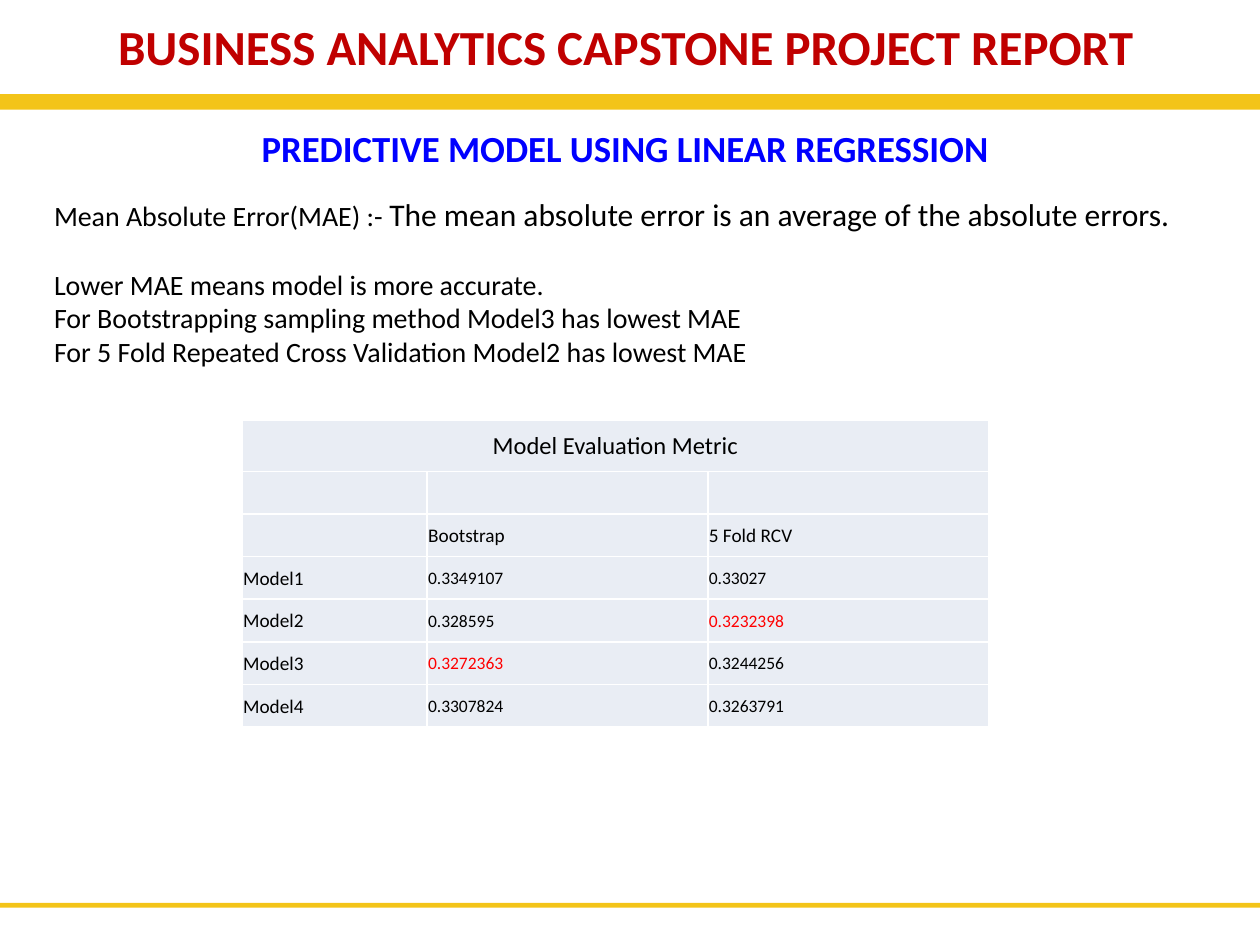
"""Build the linear regression model evaluation slide."""
from lxml import etree
from pptx import Presentation
from pptx.dml.color import RGBColor
from pptx.enum import shapes, text
from pptx.oxml.ns import qn
from pptx.util import Cm, Pt

THEME = {
    "font": "Calibri",
    "title": "C00000", "subtitle": "0000FF", "text": "000000",
    "best": "FF0000", "bar": "F3C419", "cell": "E9EDF4", "border": "FFFFFF",
    "title_size": 28, "subtitle_size": 21, "lead_size": 18, "body_size": 16,
    "table_title_size": 14, "label_size": 11, "value_size": 10,
}
TITLE = "BUSINESS ANALYTICS CAPSTONE PROJECT REPORT"
SUBTITLE = "PREDICTIVE MODEL USING LINEAR REGRESSION"
TERM = "Mean Absolute Error(MAE) :- "
DEFINITION = "The mean absolute error is an average of the absolute errors."
FINDINGS = [
    "Lower MAE means model is more accurate.",
    "For Bootstrapping sampling method Model3 has lowest MAE",
    "For 5 Fold Repeated Cross Validation Model2 has lowest MAE",
]
TABLE_TITLE = "Model Evaluation Metric"
METHODS = ["", "Bootstrap", "5 Fold RCV"]
RESULTS = [
    ("Model1", "0.3349107", "0.33027"),
    ("Model2", "0.328595", "0.3232398"),
    ("Model3", "0.3272363", "0.3244256"),
    ("Model4", "0.3307824", "0.3263791"),
]
BARS = [(1.9, 0.31), (18.2, 0.1)]
COLUMN_WIDTHS = [3.73, 5.66, 5.66]
TITLE_ROW_HEIGHT, ROW_HEIGHT = 1.03, 0.86


def write(paragraph, content, *, size, color="text", bold=False, align="LEFT"):
    """Append a formatted run to a paragraph."""
    run = paragraph.add_run()
    run.text = content
    run.font.name = THEME["font"]
    run.font.size = Pt(THEME[size])
    run.font.bold = bold
    run.font.color.rgb = RGBColor.from_string(THEME[color])
    paragraph.alignment = getattr(text.PP_ALIGN, align)


def place(shape, left, top, width, height):
    """Set the position and size of a shape in centimetres."""
    shape.left, shape.top = Cm(left), Cm(top)
    shape.width, shape.height = Cm(width), Cm(height)


def add_bar(slide, top, height, width):
    """Add a full-width coloured bar."""
    bar = slide.shapes.add_shape(
        shapes.MSO_SHAPE.RECTANGLE, 0, Cm(top), width, Cm(height))
    bar.shadow.inherit = False
    bar.fill.solid()
    bar.fill.fore_color.rgb = RGBColor.from_string(THEME["bar"])
    bar.line.fill.background()


def add_text_box(slide, *position):
    """Add a wrapping text box and return its text frame."""
    frame = slide.shapes.add_textbox(*map(Cm, position)).text_frame
    frame.word_wrap = True
    return frame


def style_cell(cell):
    """Give a cell its borders, fill, margins and anchor."""
    properties = cell._tc.get_or_add_tcPr()
    for side in ("L", "R", "T", "B"):
        line = etree.SubElement(properties, qn(f"a:ln{side}"), w=str(Pt(1)))
        fill = etree.SubElement(line, qn("a:solidFill"))
        etree.SubElement(fill, qn("a:srgbClr"), val=THEME["border"])
    cell.fill.solid()
    cell.fill.fore_color.rgb = RGBColor.from_string(THEME["cell"])
    cell.margin_left = cell.margin_right = cell.margin_top = Cm(0.02)
    cell.margin_bottom = 0
    cell.vertical_anchor = text.MSO_ANCHOR.MIDDLE


def add_results_table(slide):
    """Add the evaluation table with the lowest value per method in red."""
    rows = [(TABLE_TITLE, "", ""), ("", "", ""), METHODS, *RESULTS]
    heights = [TITLE_ROW_HEIGHT] + [ROW_HEIGHT] * (len(rows) - 1)
    lowest = [min(column) for column in zip(*RESULTS)]
    frame = slide.shapes.add_table(
        len(rows), len(METHODS), Cm(4.88), Cm(8.47),
        Cm(sum(COLUMN_WIDTHS)), Cm(sum(heights)))
    table = frame.table
    table.first_row = table.horz_banding = False
    for column, width in zip(table.columns, COLUMN_WIDTHS):
        column.width = Cm(width)
    for i, (row, height) in enumerate(zip(rows, heights)):
        table.rows[i].height = Cm(height)
        for j, content in enumerate(row):
            cell = table.cell(i, j)
            style_cell(cell)
            if not content:
                continue
            is_value = row in RESULTS and j > 0
            is_best = is_value and content == lowest[j]
            size = "value_size" if is_value else "label_size"
            write(cell.text_frame.paragraphs[0], content,
                  size="table_title_size" if i == 0 else size,
                  color="best" if is_best else "text",
                  align="CENTER" if i == 0 else "LEFT")
    table.cell(0, 0).merge(table.cell(0, len(METHODS) - 1))


def main():
    presentation = Presentation()
    presentation.slide_width, presentation.slide_height = Cm(25.4), Cm(19.05)
    slide = presentation.slides.add_slide(presentation.slide_layouts[5])

    for top, height in BARS:
        add_bar(slide, top, height, presentation.slide_width)

    title = slide.shapes.title
    place(title, 2.01, 0.2, 21.2, 1.45)
    title.text_frame.word_wrap = False
    title.text_frame.vertical_anchor = text.MSO_ANCHOR.TOP
    write(title.text_frame.paragraphs[0], TITLE, size="title_size",
          color="title", bold=True, align="CENTER")

    subtitle = add_text_box(slide, 0.25, 2.41, 24.71, 1.14)
    write(subtitle.paragraphs[0], SUBTITLE, size="subtitle_size",
          color="subtitle", bold=True, align="CENTER")

    body = add_text_box(slide, 0.84, 3.81, 23.62, 4.45)
    lead = body.paragraphs[0]
    lead.space_after = Pt(19.5)
    write(lead, TERM, size="body_size")
    write(lead, DEFINITION, size="lead_size")
    for finding in FINDINGS:
        write(body.add_paragraph(), finding, size="body_size")

    add_results_table(slide)
    presentation.save("out.pptx")


if __name__ == "__main__":
    main()
